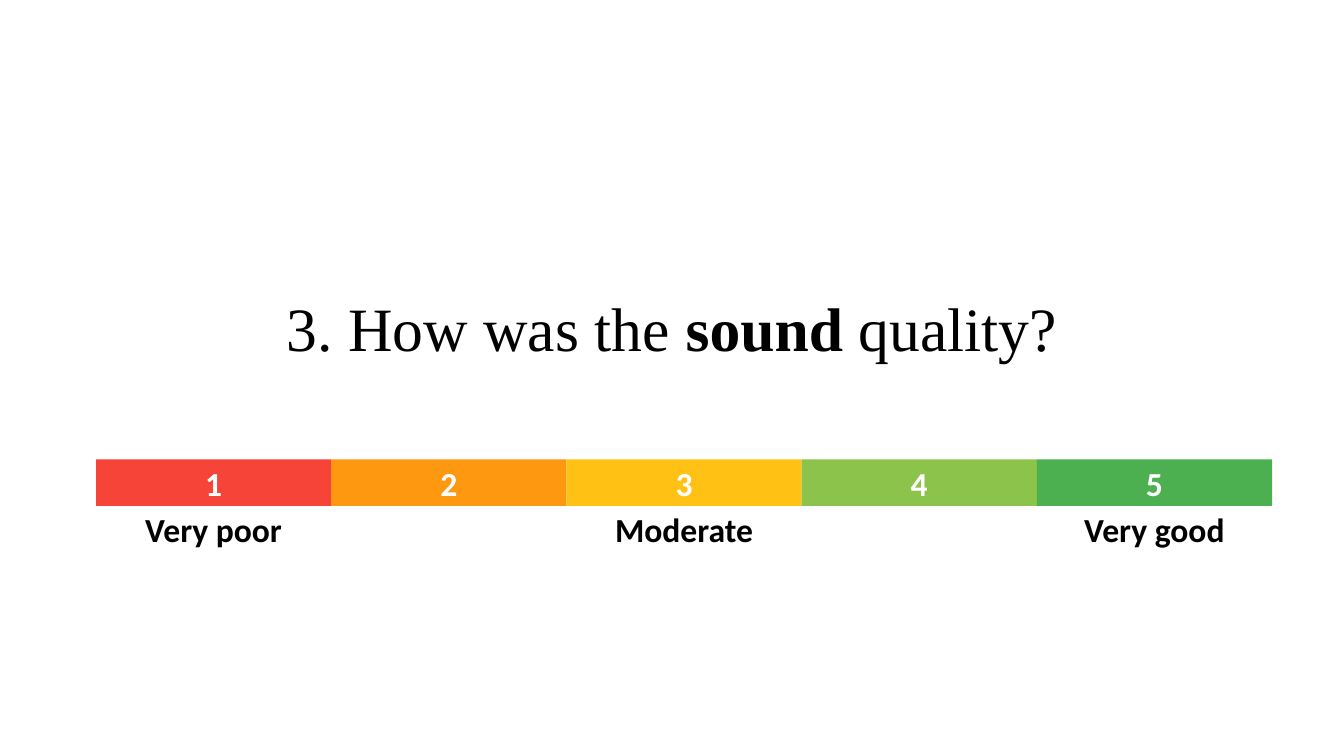
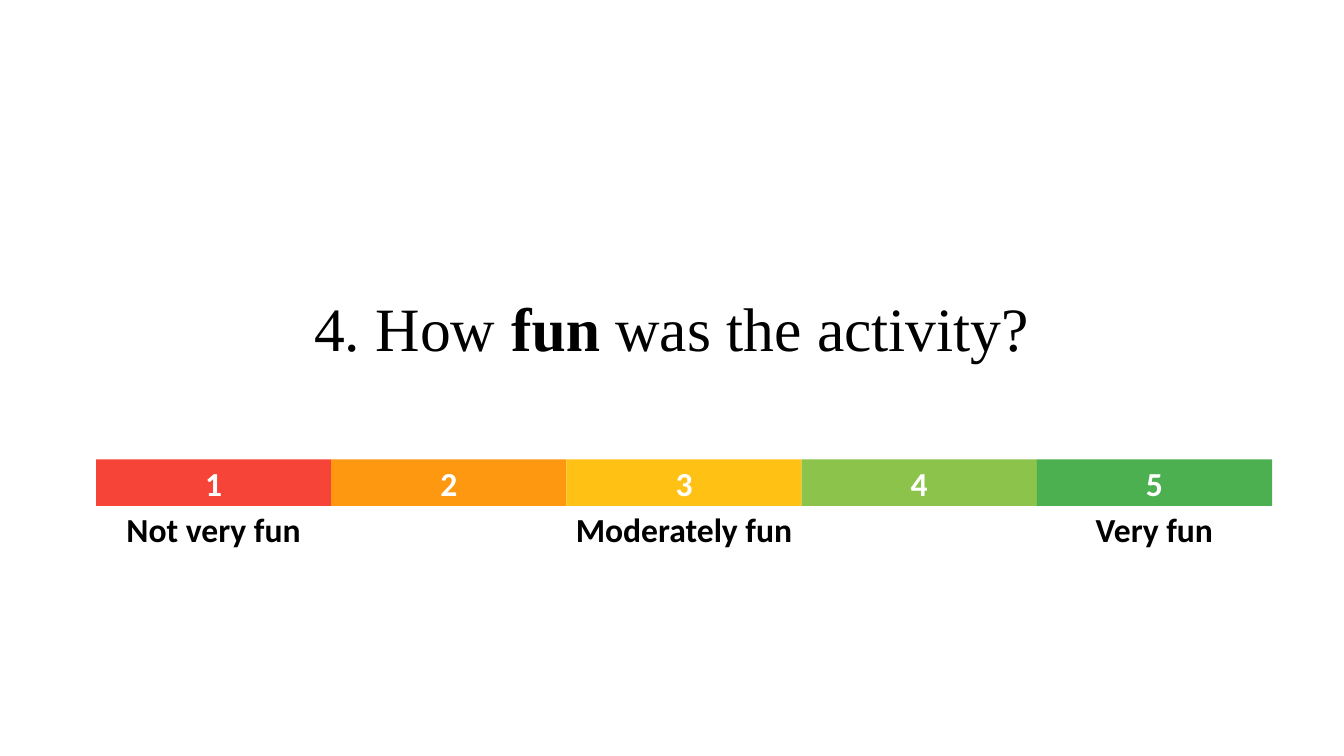
from pptx import Presentation
from pptx.dml.color import RGBColor as RGB
from pptx.enum.shapes import MSO_SHAPE as Shape
from pptx.enum.text import MSO_ANCHOR as Anchor, PP_ALIGN as Align
from pptx.util import Pt

BLACK = RGB(0x00, 0x00, 0x00)
WHITE = RGB(0xFF, 0xFF, 0xFF)
SCALE = [
    RGB(0xF6, 0x44, 0x39),
    RGB(0xFF, 0x98, 0x11),
    RGB(0xFF, 0xC1, 0x13),
    RGB(0x8C, 0xC4, 0x4B),
    RGB(0x4C, 0xB0, 0x50),
]
SERIF, SANS = "Times New Roman", "Calibri"

TITLE = (66, 177, 828, 104.5)
BAR = (68.6, 328.2, 840, 33.2)
# Step index and box width of each label under the bar
LABELS = [(0, 138), (2, 162), (4, 153)]

# Title parts (the middle one is bold), then the labels
SLIDES = [
    (["3. How was the ", "sound", " quality?"],
     ["Very poor", "Moderate", "Very good"]),
    (["4. How ", "fun", " was the activity?"],
     ["Not very fun", "Moderately fun", "Very fun"]),
]


def style(font, face, size, color, bold):
    font.name, font.size, font.bold = face, Pt(size), bold
    font.color.rgb = color


def center(frame):
    """Centre the text both ways and return its paragraph."""
    frame.word_wrap = True
    frame.vertical_anchor = Anchor.MIDDLE
    para = frame.paragraphs[0]
    para.alignment = Align.CENTER
    return para


def add_title(slide, box, parts):
    frame = slide.shapes.add_textbox(*map(Pt, box)).text_frame
    para = center(frame)
    frame.margin_top = Pt(12.6)
    for i, part in enumerate(parts):
        run = para.add_run()
        run.text = part
        style(run.font, SERIF, 44, BLACK, i == 1)


def fill_text(shape, text, color):
    frame = shape.text_frame
    frame.text = text
    para = center(frame)
    frame.margin_left = frame.margin_right = Pt(2)
    frame.margin_top = frame.margin_bottom = Pt(2)
    style(para.runs[0].font, SANS, 24, color, True)


def add_scale(slide, box, names):
    """Draw the numbered bar in the box, with its labels below."""
    left, top, width, height = box
    step = width / len(SCALE)
    for (i, wide), name in zip(LABELS, names):
        x = left + (i + 0.5) * step - wide / 2
        label = slide.shapes.add_textbox(
            Pt(x), Pt(top + height), Pt(wide), Pt(height))
        fill_text(label, name, BLACK)
    for i, color in enumerate(SCALE):
        cell = slide.shapes.add_shape(
            Shape.RECTANGLE, Pt(left + i * step), Pt(top), Pt(step), Pt(height))
        cell.shadow.inherit = False
        cell.fill.solid()
        cell.fill.fore_color.rgb = color
        cell.line.fill.background()
        fill_text(cell, str(i + 1), WHITE)


def main():
    deck = Presentation()
    deck.slide_width, deck.slide_height = Pt(960), Pt(540)
    for parts, names in SLIDES:
        slide = deck.slides.add_slide(deck.slide_layouts[6])
        add_title(slide, TITLE, parts)
        add_scale(slide, BAR, names)
    deck.save("out.pptx")


if __name__ == "__main__":
    main()
